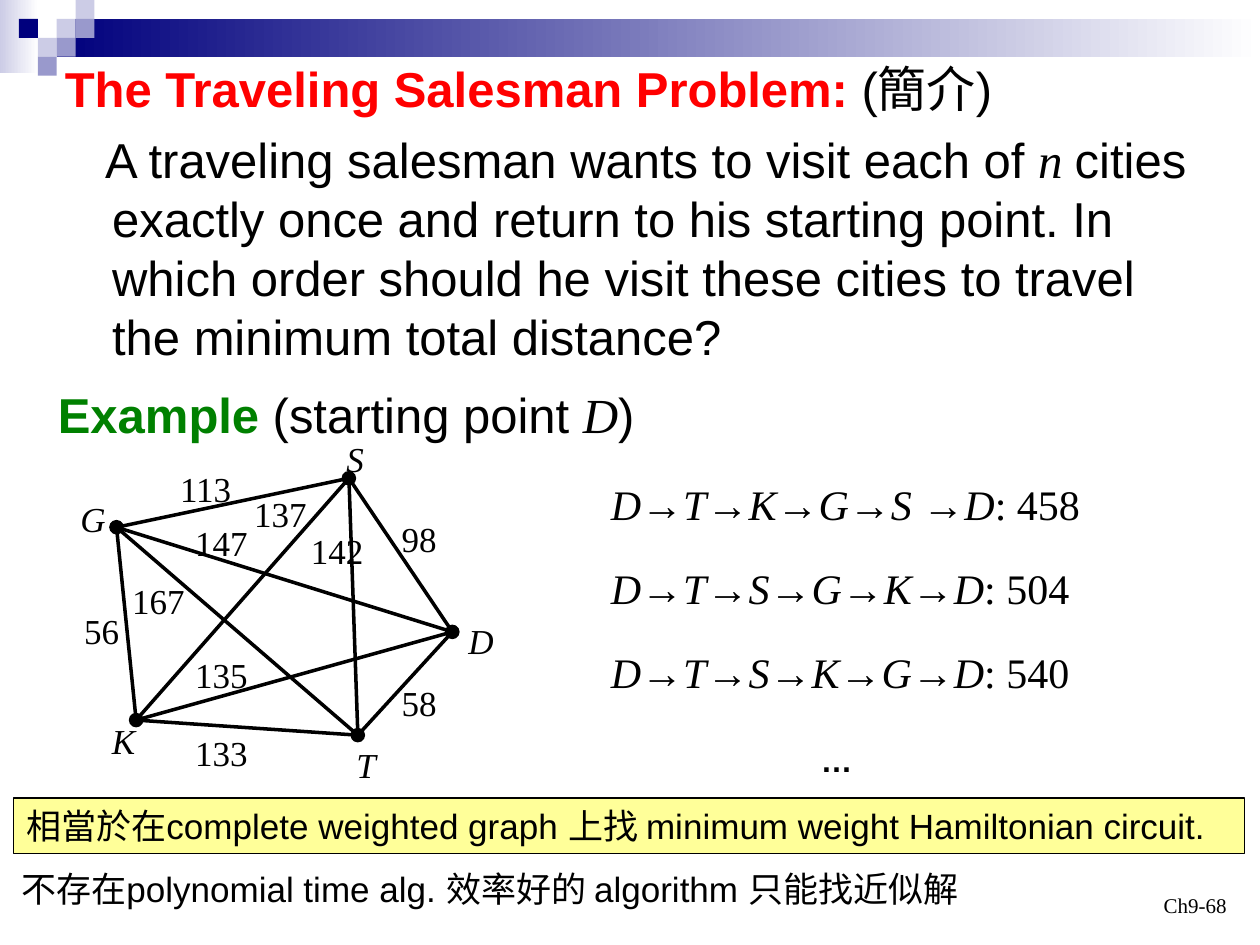
"""Build the slide that introduces the traveling salesman problem."""
from itertools import combinations

from lxml import etree
from pptx import Presentation
from pptx.dml.color import RGBColor
from pptx.enum import shapes, text
from pptx.oxml import ns
from pptx.util import Pt

COLOURS = {
    "black": "000000", "white": "FFFFFF", "red": "FF0000", "green": "008000",
    "navy": "00007D", "lavender": "CCCCE6", "periwinkle": "9999CC", "yellow": "FFFF99",
}
SANS, SERIF = "Arial", "Times New Roman"
SQUARE = 10.8
SQUARES = [
    (3, 1, "lavender"), (4, 0, "lavender"), (4, 1, "periwinkle"), (2, 2, "lavender"),
    (1, 1, "navy"), (3, 2, "periwinkle"), (2, 3, "periwinkle"),
]
CITIES = {
    "G": ((66.6, 301.3), (38.9, 280.8, 28.8)),
    "S": ((199.4, 273.3), (190.8, 246.2, 24.5)),
    "D": ((258.5, 361.1), (260.6, 350.6, 28.8)),
    "T": ((204.5, 420.1), (196.6, 421.2, 25.2)),
    "K": ((77.8, 411.5), (56.9, 407.5, 27.4)),
}
DISTANCES = {
    "113": (95.8, 263.5), "137": (138.2, 277.9), "147": (104.4, 294.5),
    "142": (170.6, 298.8), "98": (222.5, 292.3), "167": (68.4, 327.6),
    "56": (41, 344.9), "135": (104.4, 370.1), "58": (222.5, 385.9), "133": (104.4, 414.7),
}
ROUTES = [("D→T→K→G→S →D", 458), ("D→T→S→G→K→D", 504), ("D→T→S→K→G→D", 540)]


def colour(name):
    """Return the named colour."""
    return RGBColor.from_string(COLOURS[name])


def add_run(paragraph, content, size=20, font=SANS, color="black", bold=False, italic=False):
    """Add one formatted run to a paragraph."""
    run = paragraph.add_run()
    run.text = content
    run.font.size, run.font.name = Pt(size), font
    run.font.bold, run.font.italic = bold, italic
    run.font.color.rgb = colour(color)


class SlideBuilder:
    """Hold the style and the current slide."""

    def __init__(self, slide, line_width=2, outline_width=0.75):
        """Keep the slide and its line widths."""
        self.slide = slide
        self.line_width, self.outline_width = Pt(line_width), Pt(outline_width)

    def shape(self, kind, left, top, width, height, fill, outline=None):
        """Add a filled preset shape."""
        shape = self.slide.shapes.add_shape(kind, Pt(left), Pt(top), Pt(width), Pt(height))
        shape.shadow.inherit = False
        shape.fill.solid()
        shape.fill.fore_color.rgb = colour(fill)
        if outline:
            shape.line.color.rgb = colour(outline)
            shape.line.width = self.outline_width
        else:
            shape.line.fill.background()
        return shape

    def rectangle(self, *place, fill, outline=None):
        """Add a rectangle."""
        return self.shape(shapes.MSO_SHAPE.RECTANGLE, *place, fill, outline)

    def fading_bar(self, *place, fill):
        """Add a rectangle that fades to white towards the right."""
        bar = self.rectangle(*place, fill=fill)
        bar.fill.gradient()
        bar.fill.gradient_angle = 0
        for stop, name, position in zip(bar.fill.gradient_stops, (fill, "white"), (0, 1)):
            stop.color.rgb = colour(name)
            stop.position = position

    def dot(self, center_x, center_y, size=7.6):
        """Add a black city dot around its center."""
        self.shape(shapes.MSO_SHAPE.FLOWCHART_CONNECTOR, center_x - size / 2,
                   center_y - size / 2, size, size, "black", "black")

    def line(self, start, end):
        """Add a straight black line."""
        line = self.slide.shapes.add_connector(
            shapes.MSO_CONNECTOR.STRAIGHT, *map(Pt, start + end))
        line.line.color.rgb = colour("black")
        line.line.width = self.line_width
        etree.SubElement(line._element.spPr, ns.qn("a:effectLst"))

    def set_text(self, shape, paragraphs, wrap=False, align=text.PP_ALIGN.LEFT,
                 anchor=text.MSO_ANCHOR.TOP):
        """Fill a shape with paragraphs, each a list of (text, format) runs."""
        frame = shape.text_frame
        frame.word_wrap, frame.vertical_anchor = wrap, anchor
        for index, runs in enumerate(paragraphs):
            paragraph = frame.add_paragraph() if index else frame.paragraphs[0]
            paragraph.alignment = align
            for content, style in runs:
                add_run(paragraph, content, **style)
        return frame

    def text_box(self, left, top, width, height, *paragraphs, **layout):
        """Add a text box."""
        box = self.slide.shapes.add_textbox(Pt(left), Pt(top), Pt(width), Pt(height))
        return self.set_text(box, paragraphs, **layout)


def add_decoration(builder):
    """Add the bars and squares along the top."""
    builder.fading_bar(0, 0, 22, 41.8, fill="lavender")
    builder.fading_bar(3 * SQUARE, SQUARE, 720 - 3 * SQUARE, 2 * SQUARE, fill="navy")
    for column, row, fill in SQUARES:
        builder.rectangle(column * SQUARE, row * SQUARE, SQUARE, SQUARE, fill=fill)


def add_problem(builder):
    """Add the title, the question and the example heading."""
    plain, variable = {"size": 28}, {"size": 28, "font": SERIF, "italic": True}
    frame = builder.text_box(
        30, 30, 666, 182,
        [("The Traveling Salesman Problem: ", {"size": 28, "color": "red", "bold": True}),
         ("(簡介)", plain)],
        [("A traveling salesman wants to visit each of ", plain), ("n ", variable),
         ("cities exactly once and return to his starting point. In which order should he "
          "visit these cities to travel the minimum total distance?", plain)],
        wrap=True)
    question = frame.paragraphs[1]
    question.space_before = Pt(7)
    properties = question._p.get_or_add_pPr()
    properties.set("marL", str(Pt(27)))
    properties.set("indent", str(Pt(-4)))
    builder.text_box(
        26, 216, 351, 41,
        [("Example ", {"size": 28, "color": "green", "bold": True}),
         ("(starting point ", plain), ("D", variable), (")", plain)])


def add_graph(builder):
    """Add the complete graph of the cities with its distances."""
    for (start, _), (end, _) in combinations(CITIES.values(), 2):
        builder.line(start, end)
    for name, (center, (left, top, width)) in CITIES.items():
        builder.dot(*center)
        builder.text_box(left, top, width, 31.7, [(name, {"font": SERIF, "italic": True})])
    for distance, (left, top) in DISTANCES.items():
        builder.text_box(left, top, 14.4 + 10 * len(distance), 31.7,
                         [(distance, {"font": SERIF})])


def add_routes(builder):
    """Add the list of routes with their lengths."""
    for index, (route, length) in enumerate(ROUTES):
        runs = []
        for city in route.split("→"):
            runs += [(city, {"size": 24, "font": SERIF, "italic": True}), ("→", {"size": 24})]
        runs[-1] = (f": {length}", {"size": 24, "font": SERIF})
        builder.text_box(342, 270 + 48 * index, 330, 36, runs, wrap=True)
    builder.text_box(462, 420, 32.4, 29, [("…", {"size": 18, "bold": True})])


def add_conclusion(builder):
    """Add the closing remarks and the page label."""
    banner = builder.rectangle(7.9, 456, 703.4, 31.7, fill="yellow", outline="black")
    builder.set_text(banner, [[(
        "相當於在complete weighted graph 上找 minimum weight Hamiltonian circuit.", {})]])
    builder.text_box(5, 492, 569.5, 31.7, [(
        "不存在polynomial time alg. 效率好的 algorithm 只能找近似解", {})])
    builder.text_box(540, 492, 168, 36, [("Ch9-68", {"size": 12, "font": SERIF})],
                     wrap=True, align=text.PP_ALIGN.RIGHT, anchor=text.MSO_ANCHOR.BOTTOM)


def main():
    """Create and save the presentation."""
    presentation = Presentation()
    presentation.slide_width, presentation.slide_height = Pt(720), Pt(540)
    builder = SlideBuilder(presentation.slides.add_slide(presentation.slide_layouts[6]))
    for add_part in (add_decoration, add_problem, add_graph, add_routes, add_conclusion):
        add_part(builder)
    presentation.save("out.pptx")


if __name__ == "__main__":
    main()
